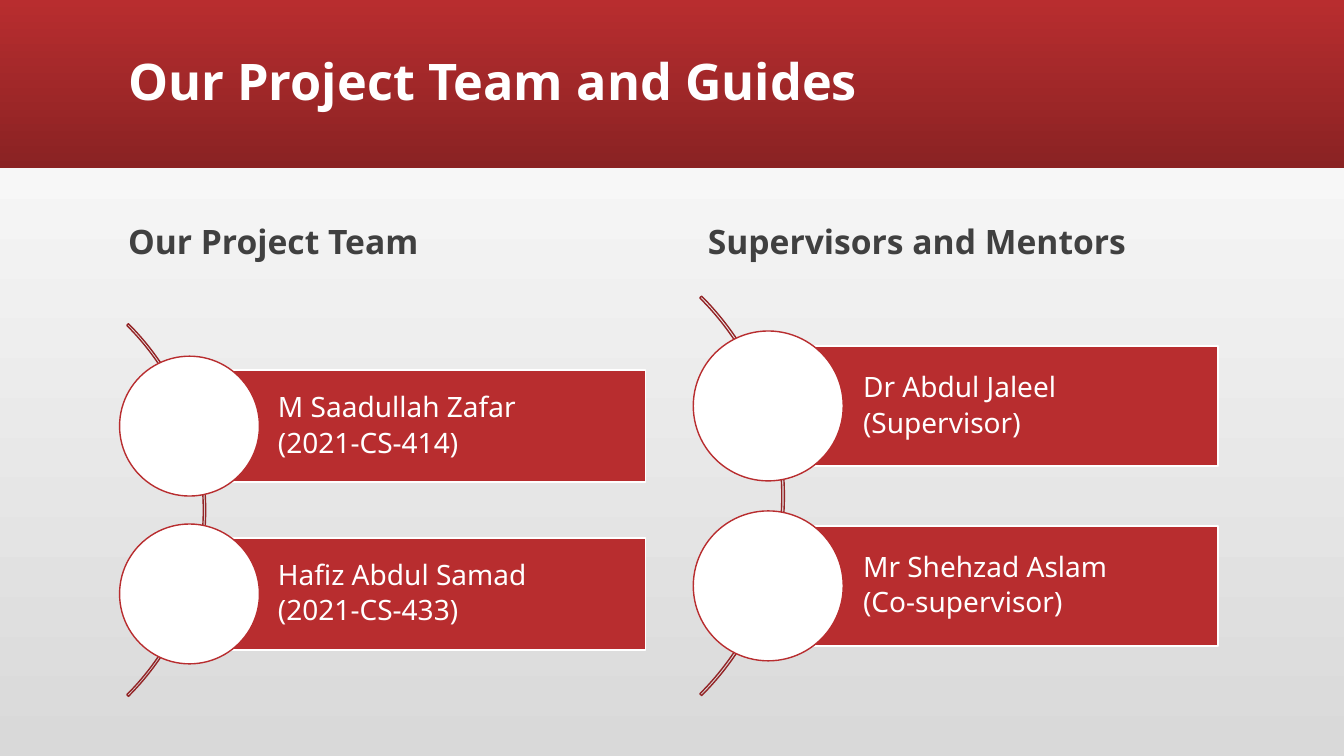
"""Build the slide that presents the project team and its supervisors."""
from pptx import Presentation
from pptx.dml.color import RGBColor
from pptx.enum.shapes import MSO_SHAPE
from pptx.enum.text import MSO_ANCHOR, MSO_AUTO_SIZE, PP_ALIGN
from pptx.util import Inches, Pt

COLORS = {
    "red": "B82D2F",
    "deep red": "8A2223",
    "arc": "932426",
    "white": "FFFFFF",
    "gray": "D9D9D9",
    "text": "404040",
}
RGB = {name: RGBColor.from_string(value) for name, value in COLORS.items()}
FONT = "Noto Sans"
WIDTH, HEIGHT = 13.33, 7.5
MARGIN, COLUMN_STEP, COLUMN_WIDTH = 1.17, 5.75, 5.25


def add_outlined(kind, left, top, width, height, fill, line):
    shape = slide.shapes.add_shape(kind, *map(Inches, (left, top, width, height)))
    shape.shadow.inherit = False
    if fill:
        shape.fill.solid()
        shape.fill.fore_color.rgb = RGB[fill]
    else:
        shape.fill.background()
    shape.line.color.rgb = RGB[line]
    shape.line.width = Pt(1)
    return shape


def set_text(shape, text, size, color, bold=False, before=0, after=0):
    frame = shape.text_frame
    frame.text = text
    frame.word_wrap = True
    frame.auto_size = MSO_AUTO_SIZE.NONE
    frame.vertical_anchor = MSO_ANCHOR.MIDDLE
    for paragraph in frame.paragraphs:
        paragraph.alignment = PP_ALIGN.LEFT
        paragraph.line_spacing = 0.9
        paragraph.space_before = Pt(before)
        paragraph.space_after = Pt(after)
        paragraph.font.name = FONT
        paragraph.font.size = Pt(size)
        paragraph.font.bold = bold
        paragraph.font.color.rgb = RGB[color]


deck = Presentation()
deck.slide_width, deck.slide_height = Inches(WIDTH), Inches(HEIGHT)
slide = deck.slides.add_slide(deck.slide_layouts.get_by_name("Comparison"))
title, team_heading, team_body, guides_heading, guides_body = slide.placeholders
for unused in (team_body, guides_body):
    unused.element.getparent().remove(unused.element)

banner = add_outlined(MSO_SHAPE.RECTANGLE, 0, 0, WIDTH, HEIGHT / 4.5, None, "red")
banner.line.fill.background()
title.element.addprevious(banner.element)

for fill, angle, shades in (
    (slide.background.fill, 90, ("gray", "white")),
    (banner.fill, 270, ("red", "deep red")),
):
    fill.gradient()
    fill.gradient_angle = angle
    for stop, shade in zip(fill.gradient_stops, shades):
        stop.color.rgb = RGB[shade]

title.left, title.top, title.width, title.height = map(Inches, (MARGIN, 0.11, 11, 1.45))
set_text(title, "Our Project Team and Guides", 36, "white", bold=True)

groups = (
    (team_heading, "Our Project Team", 1.88, 4.52, 1.11, 5.06,
     ("M Saadullah Zafar\n(2021-CS-414)", "Hafiz Abdul Samad\n(2021-CS-433)")),
    (guides_heading, "Supervisors and Mentors", 7.62, 4.46, 1.19, 4.92,
     ("Dr Abdul Jaleel\n(Supervisor)", "Mr Shehzad Aslam\n(Co-supervisor)")),
)
for column, (heading, label, bar_left, bar_width, bar_height, middle, people) in enumerate(groups):
    heading.left, heading.top = Inches(MARGIN + column * COLUMN_STEP), Inches(2)
    heading.width, heading.height = Inches(COLUMN_WIDTH), Inches(0.83)
    set_text(heading, label, 24, "text", bold=True, before=18)

    ring = 4.71 * bar_height
    arc = add_outlined(MSO_SHAPE.BLOCK_ARC, bar_left + 0.16 - ring, middle - ring / 2,
                       ring, ring, None, "arc")
    for index, value in enumerate((189, 27, 0.45 / 100)):
        arc.adjustments[index] = value

    disc = 1.25 * bar_height
    for row, person in enumerate(people):
        center = middle + (row - 0.5) * 1.5 * bar_height
        bar = add_outlined(MSO_SHAPE.RECTANGLE, bar_left, center - bar_height / 2,
                           bar_width, bar_height, "red", "white")
        set_text(bar, person, 20, "white", after=4)
        frame = bar.text_frame
        frame.margin_left = Inches(0.79 * bar_height)
        frame.margin_top = frame.margin_right = frame.margin_bottom = Inches(0.06)
        add_outlined(MSO_SHAPE.OVAL, bar_left - disc / 2, center - disc / 2,
                     disc, disc, "white", "red")

deck.save("out.pptx")
